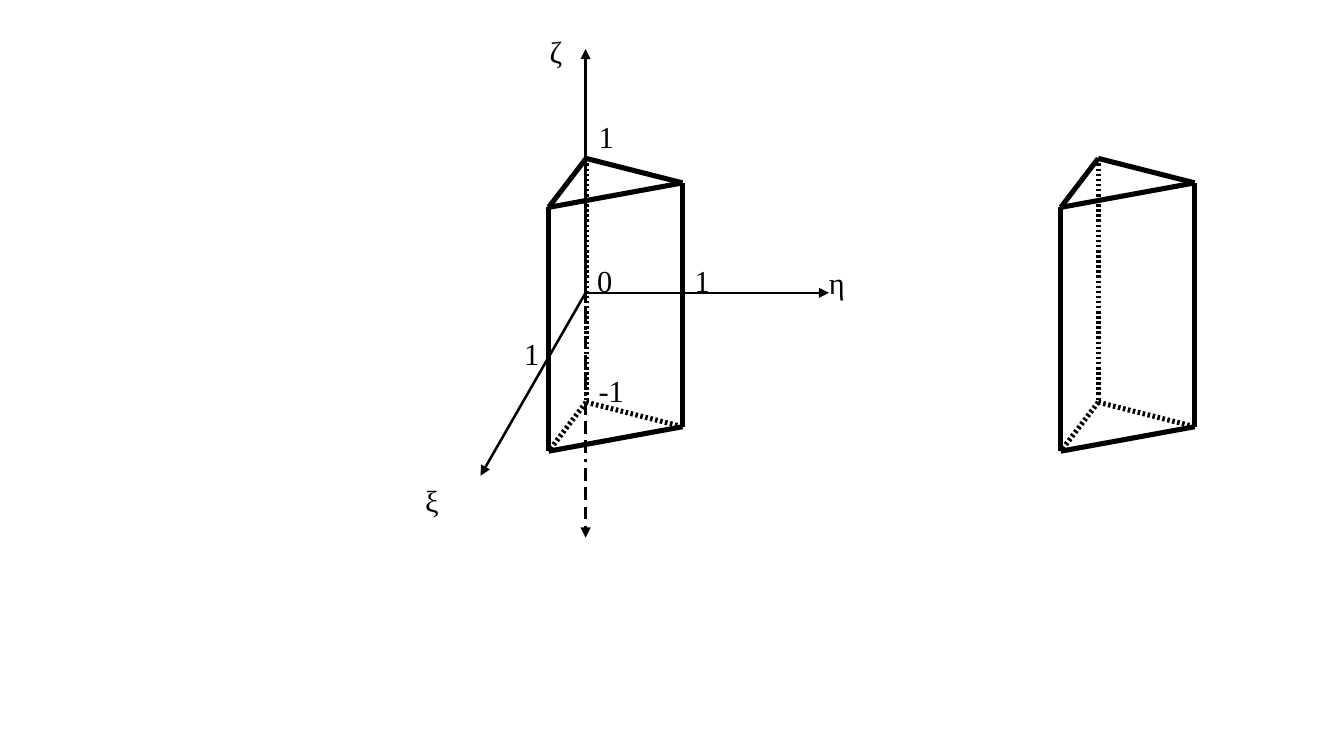
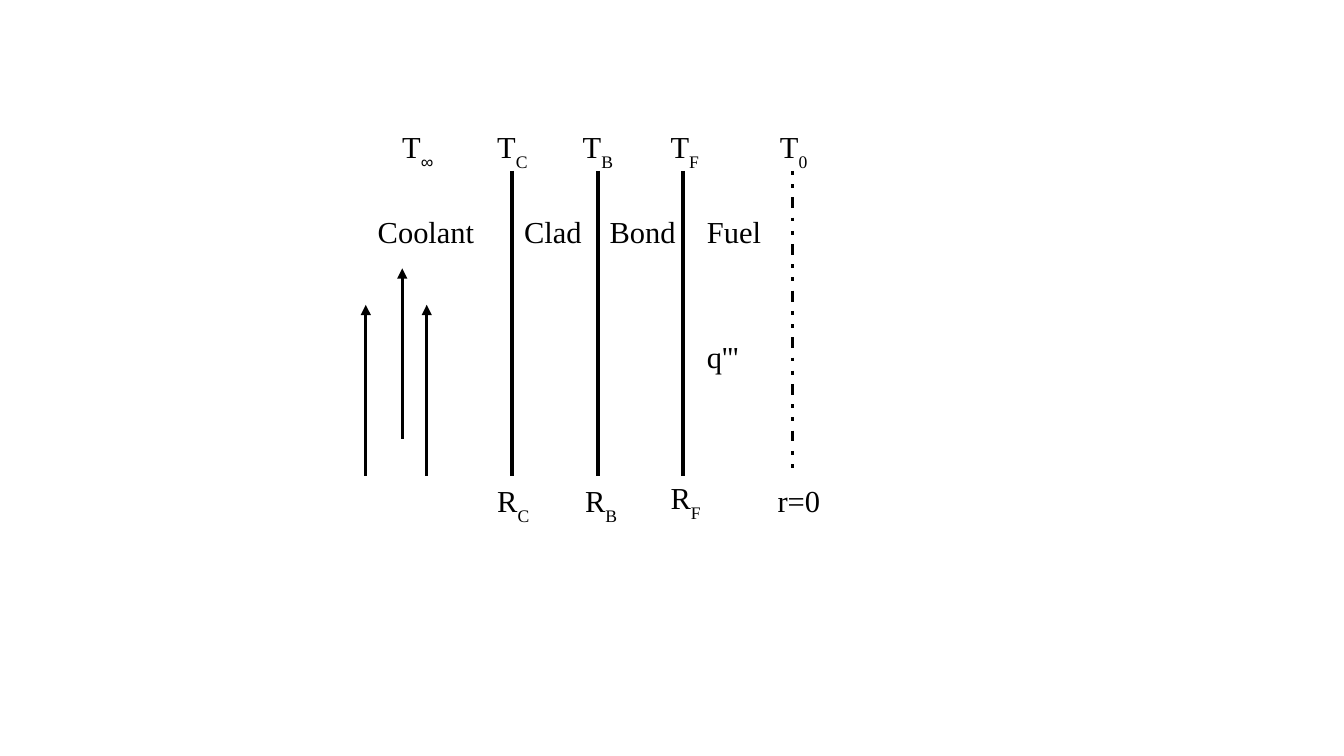
import pptx
import pptx.dml.color
import pptx.enum.shapes
import pptx.enum.text
import pptx.oxml
import pptx.oxml.ns
import pptx.util
from lxml import etree

Cm = pptx.util.Cm
Pt = pptx.util.Pt
INK = pptx.dml.color.RGBColor(0x00, 0x00, 0x00)
PAPER = pptx.dml.color.RGBColor(0xFF, 0xFF, 0xFF)

# Dash patterns: (dash, gap) pairs in multiples of the line width
HIDDEN = [(0.5, 0.5)]
AXIS_BELOW = [(1, 2.5)] + [(5, 2.5)] * 3
CENTRE_LINE = [(1, 2.4), (1, 2.4), (2.8, 2.4)]


def add_child(parent, tag, **attributes):
    return etree.SubElement(parent, pptx.oxml.ns.qn(tag), **attributes)


class Sketch:
    """Line drawings with serif labels; all lengths are in centimetres."""

    FONT = "Times New Roman"
    SYMBOL_FONT = "Arial"
    SIZE = 18

    def __init__(self):
        self.presentation = pptx.Presentation()
        self.presentation.slide_width = Cm(28)
        self.presentation.slide_height = Cm(15.75)
        self.slide = None

    def new_slide(self):
        layout = self.presentation.slide_layouts[6]
        self.slide = self.presentation.slides.add_slide(layout)
        fill = self.slide.background.fill
        fill.solid()
        fill.fore_color.rgb = PAPER

    def line(self, start, end, width, dashes=(), arrow=False):
        """Draw a straight line; an arrowhead sits at its start."""
        connector = self.slide.shapes.add_connector(
            pptx.enum.shapes.MSO_CONNECTOR.STRAIGHT,
            Cm(start[0]), Cm(start[1]), Cm(end[0]), Cm(end[1]))
        connector.line.color.rgb = INK
        connector.line.width = Pt(width)
        outline = connector.get_or_add_ln()
        if dashes:
            pattern = add_child(outline, "a:custDash")
            for dash, gap in dashes:
                add_child(pattern, "a:ds", d=str(round(dash * 100000)),
                          sp=str(round(gap * 100000)))
        if arrow:
            add_child(outline, "a:headEnd", type="triangle")
        add_child(connector._element.spPr, "a:effectLst")

    def label(self, left, top, width, text, subscript="", height=0.97):
        shape = self.slide.shapes.add_textbox(
            Cm(left), Cm(top), Cm(width), Cm(height))
        frame = shape.text_frame
        frame.word_wrap = True
        frame.auto_size = pptx.enum.text.MSO_AUTO_SIZE.SHAPE_TO_FIT_TEXT
        paragraph = frame.paragraphs[0]
        self.run(paragraph, text)
        if subscript:
            run = self.run(paragraph, subscript)
            run._r.get_or_add_rPr().set("baseline", "-33000")

    def run(self, paragraph, text):
        run = paragraph.add_run()
        run.text = text
        run.font.name = self.SYMBOL_FONT if text == "∞" else self.FONT
        run.font.size = Pt(self.SIZE)
        run.font.color.rgb = INK
        return run

    def prism(self, left):
        """Draw a triangular prism with its hidden edges dotted."""
        height = 5.08
        front, side, back = top = [
            (left, 4.32), (left + 2.79, 3.81), (left + 0.78, 3.3)]
        base_front, base_side, base_back = base = [
            (x, y + height) for x, y in top]
        visible = [(front, side), (side, back), (back, front),
                   (front, base_front), (side, base_side),
                   (base_front, base_side)]
        hidden = [(back, base_back), (base_back, base_front),
                  (base_back, base_side)]
        for start, end in visible:
            self.line(start, end, 3)
        for start, end in hidden:
            self.line(start, end, 3, HIDDEN)


def draw_prisms(sketch):
    sketch.new_slide()
    origin = (12.2, 6.1)
    for tip, dashes in [((12.2, 1.02), ()), ((17.27, 6.1), ()),
                        ((10.01, 9.91), ()), ((12.2, 11.2), AXIS_BELOW)]:
        sketch.line(tip, origin, 1.5, dashes, arrow=True)
    for left in (11.43, 22.1):
        sketch.prism(left)
    for left, top, width, text in [
            (8.61, 9.91, 0.79, "ξ"), (17.02, 5.38, 1.02, "η"),
            (11.2, 0.56, 1.02, "ζ"), (12.22, 2.34, 0.76, "1"),
            (14.22, 5.33, 0.76, "1"), (10.67, 6.86, 0.76, "1"),
            (12.19, 5.33, 0.76, "0"), (12.22, 7.62, 1.24, "-1")]:
        sketch.label(left, top, width, text)


def draw_fuel_layers(sketch):
    sketch.new_slide()
    top, bottom = 3.56, 9.91
    for index in range(3):
        wall = 10.67 + 1.78 * index
        sketch.line((wall, top), (wall, bottom), 2.3)
    sketch.line((16.51, top), (16.51, bottom), 2.3, CENTRE_LINE)

    for x, tip in [(7.62, 6.35), (8.38, 5.59), (8.89, 6.35)]:
        sketch.line((x, tip), (x, tip + 3.56), 0, arrow=True)

    for left, width, name in [(7.62, 2.79, "Coolant"), (10.67, 1.78, "Clad"),
                              (12.45, 2.03, "Bond"), (14.48, 2.03, "Fuel")]:
        sketch.label(left, 4.32, width, name)
    for left, subscript in [(8.13, "∞"), (10.11, "C"), (11.89, "B"),
                            (13.72, "F"), (16, "0")]:
        sketch.label(left, 2.54, 1.32, "T", subscript, height=1.27)
    for left, label_top, subscript in [(10.11, 9.91, "C"), (11.94, 9.91, "B"),
                                       (13.72, 9.86, "F")]:
        sketch.label(left, label_top, 1.32, "R", subscript, height=1.27)
    sketch.label(15.95, 9.91, 1.83, "r=0")
    sketch.label(14.48, 6.91, 1.52, "q'''")


def main():
    sketch = Sketch()
    draw_prisms(sketch)
    draw_fuel_layers(sketch)
    sketch.presentation.save("out.pptx")


if __name__ == "__main__":
    main()
